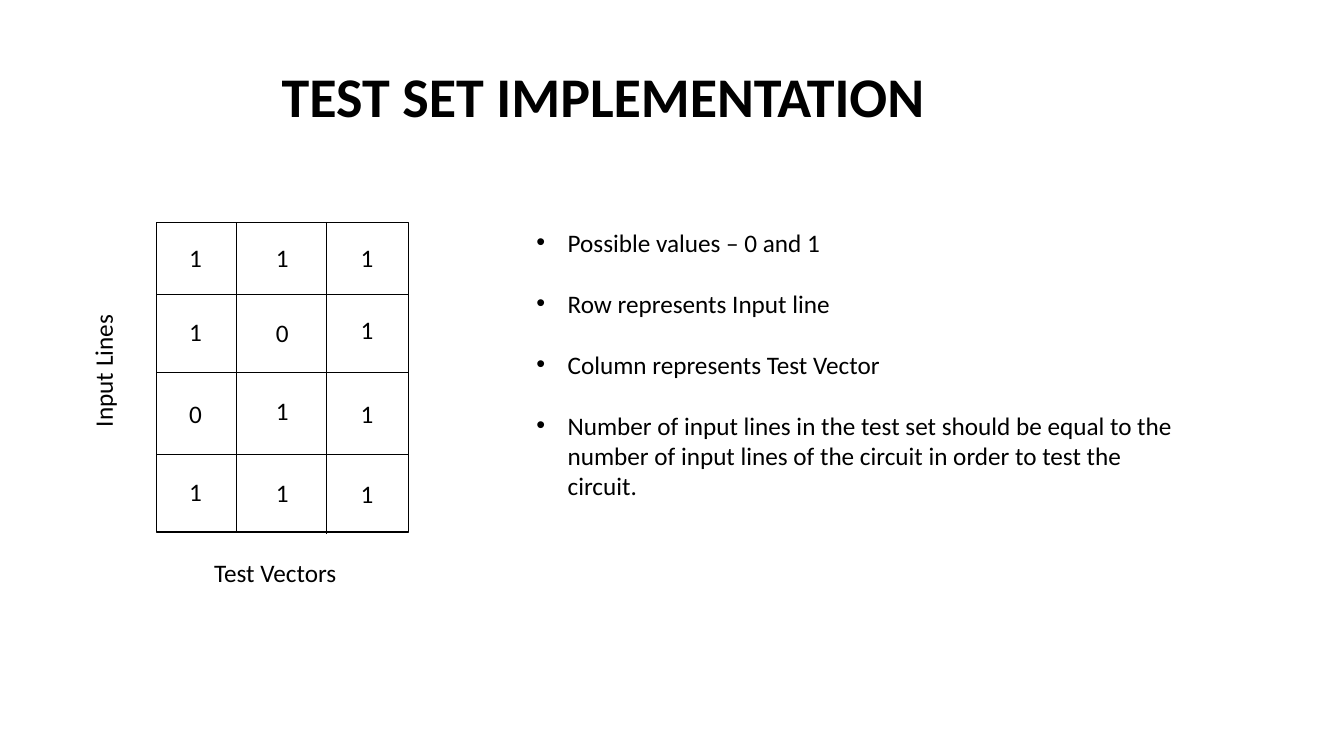
from lxml import etree
from pptx import Presentation
from pptx.dml.color import RGBColor
from pptx.enum.shapes import MSO_CONNECTOR, MSO_SHAPE
from pptx.enum.text import MSO_ANCHOR, MSO_AUTO_SIZE, PP_ALIGN
from pptx.oxml.ns import qn
from pptx.util import Inches, Pt

CENTER, LEFT = PP_ALIGN.CENTER, PP_ALIGN.LEFT
TOP, GROW = MSO_ANCHOR.TOP, MSO_AUTO_SIZE.SHAPE_TO_FIT_TEXT
RECTANGLE, STRAIGHT = MSO_SHAPE.RECTANGLE, MSO_CONNECTOR.STRAIGHT
COLORS = {"ink": "000000", "paper": "FFFFFF"}
INK = RGBColor.from_string(COLORS["ink"])
PAPER = RGBColor.from_string(COLORS["paper"])
FONT = "Calibri"

prs = Presentation()
prs.slide_width, prs.slide_height = Inches(13.33), Inches(7.5)
slide = prs.slides.add_slide(prs.slide_layouts[1])


def write(holder, text, at, size=18, bold=False, align=CENTER, gap=0, indent=0):
    """Place a text holder and fill it, one paragraph per line of text."""
    holder.left, holder.top, holder.width, holder.height = map(Inches, at)
    frame = holder.text_frame
    frame.text = text
    frame.word_wrap = True
    frame.auto_size = GROW
    frame.vertical_anchor = TOP
    for number, paragraph in enumerate(frame.paragraphs):
        paragraph.alignment = align
        paragraph.line_spacing = 1.0
        paragraph.space_before = Pt(gap if number else 0)
        paragraph.space_after = Pt(0)
        if indent:
            properties = paragraph._p.get_or_add_pPr()
            properties.set("marL", str(Inches(indent)))
            properties.set("indent", str(-Inches(indent)))
        font = paragraph.runs[0].font
        font.name, font.size, font.bold = FONT, Pt(size), bold
        font.color.rgb = INK


# Title and explanation
write(slide.shapes.title, "TEST SET IMPLEMENTATION", (2.34, 0.56, 7.28, 0.77),
      size=40, bold=True)
facts = [
    "Possible values – 0 and 1",
    "Row represents Input line",
    "Column represents Test Vector",
    "Number of input lines in the test set should be equal to the number of "
    "input lines of the circuit in order to test the circuit.",
]
write(slide.placeholders[1], "\n".join(facts), (5.22, 2.2, 6.73, 2.83),
      align=LEFT, gap=22, indent=0.31)

# Test set matrix: frame
matrix = slide.shapes.add_group_shape().shapes
left, top, right, bottom = 1.55, 2.21, 4.05, 5.28
border = matrix.add_shape(RECTANGLE, Inches(left), Inches(top),
                          Inches(right - left), Inches(bottom - top))
border.shadow.inherit = False
border.fill.solid()
border.fill.fore_color.rgb = PAPER
border.line.color.rgb = INK
border.line.width = Pt(1)

# Test set matrix: column and row dividers
dividers = [(2.34, top, 2.34, bottom), (3.24, 2.2, 3.24, 5.3)]
dividers += [(left, y, right, y) for y in (2.92, 3.69, 4.51)]
for ends in dividers:
    divider = matrix.add_connector(STRAIGHT, *map(Inches, ends))
    divider.line.color.rgb = INK
    divider.line.width = Pt(0.5)
    etree.SubElement(divider._element.spPr, qn("a:effectLst"))

# Test set matrix: left edge of each test vector, its bits and their tops
test_vectors = [
    (1.75, "1101", (2.36, 3.09, 3.9, 4.68)),
    (2.61, "1011", (2.36, 3.1, 3.87, 4.69)),
    (3.45, "1111", (2.36, 3.07, 3.9, 4.7)),
]
for bit_left, bits, bit_tops in test_vectors:
    for bit, bit_top in zip(bits, bit_tops):
        write(matrix.add_textbox(0, 0, 0, 0), bit, (bit_left, bit_top, 0.38, 0.4))

# Axis labels
for label, x, y, rotation in [("Test Vectors", 1.75, 5.48, 0),
                              ("Input Lines", 0.04, 3.48, 270)]:
    axis_label = slide.shapes.add_textbox(0, 0, 0, 0)
    write(axis_label, label, (x, y, 1.96, 0.4))
    axis_label.rotation = rotation

prs.save("out.pptx")
